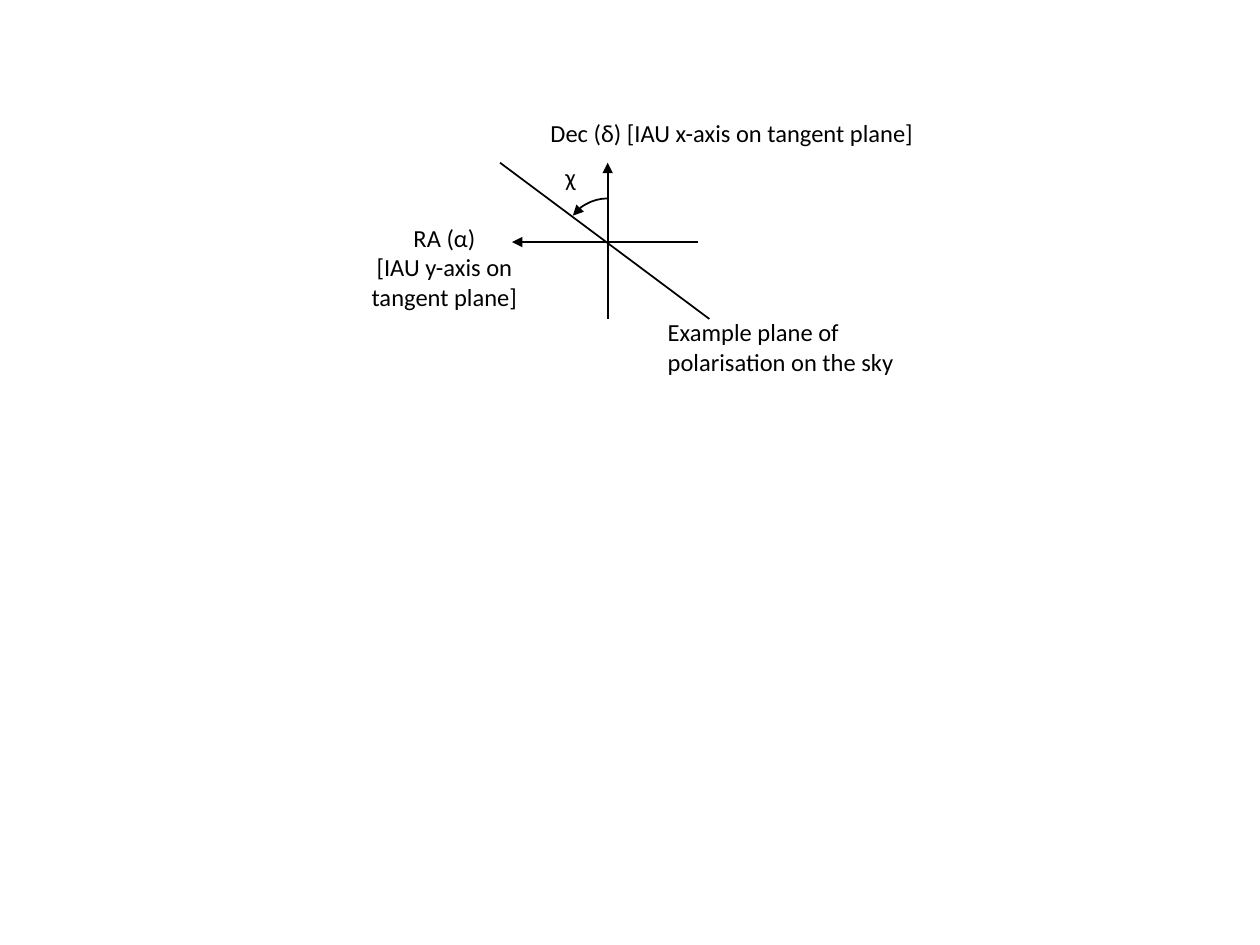
from copy import deepcopy
from dataclasses import dataclass
from lxml.etree import SubElement as Sub
from pptx import Presentation
from pptx.dml.color import RGBColor as Rgb
from pptx.enum.shapes import MSO_CONNECTOR as Link, MSO_SHAPE as Kind
from pptx.enum.text import MSO_AUTO_SIZE as Fit, PP_ALIGN as Align
from pptx.oxml.ns import qn
from pptx.util import Cm, Pt


@dataclass
class Theme:
    ink: Rgb = Rgb(0, 0, 0)
    font: str = "Calibri"
    size: int = 14
    line: int = 1


theme = Theme()

# Content, in centimetres
mid_x, mid_y = 12.25, 4.88
top, base = 3.28, 6.43
lines = [  # start, end, arrow
    ((mid_x, base), (mid_x, top), True),
    ((14.07, mid_y), (10.32, mid_y), True),
    ((14.3, base), (10.08, top), False),
]
radius = 0.88
arc_from = 307.3  # degrees, before the quarter turn
labels = [  # text, box, format
    ("Example plane of polarisation on the sky", (13.21, 6.27, 5.77, 1.45), {}),
    ("χ", (11.15, 3.15, 0.74, 0.86), {"wrap": False}),
    ("Dec (δ) [IAU x-axis on tangent plane]", (9.04, 2.26, 11.43, 0.86),
     {"align": Align.CENTER}),
    ("RA (α)\v[IAU y-axis on tangent plane]", (6.6, 4.37, 4.72, 2.06),
     {"align": Align.CENTER}),
]

deck = Presentation()
deck.slide_width, deck.slide_height = Cm(25.4), Cm(19.05)
slide = deck.slides.add_slide(deck.slide_layouts[6])
shapes = slide.shapes


def stroke(shape, end=None):
    """Set the line format, with an arrow at headEnd or tailEnd."""
    shape.line.color.rgb = theme.ink
    shape.line.width = Pt(theme.line)
    if end:
        Sub(shape.line._get_or_add_ln(), qn("a:" + end), type="triangle")


def write(text, box, align=Align.LEFT, wrap=True):
    frame = shapes.add_textbox(*map(Cm, box)).text_frame
    frame.word_wrap = wrap
    frame.auto_size = Fit.SHAPE_TO_FIT_TEXT
    para = frame.paragraphs[0]
    para.text, para.alignment = text, align
    for run in para.runs:
        run.font.name, run.font.size = theme.font, Pt(theme.size)
        run.font.color.rgb = theme.ink
    # A line break takes the format of the text around it
    for brk in para._p.findall(qn("a:br")):
        brk.append(deepcopy(para.runs[0]._r.rPr))


# Axes and plane of polarisation
for start, end, arrow in lines:
    link = shapes.add_connector(Link.STRAIGHT, *map(Cm, start + end))
    stroke(link, "tailEnd" if arrow else None)
    Sub(link._element.spPr, qn("a:effectLst"))

# Angle
arc = shapes.add_shape(Kind.ARC, Cm(mid_x - radius), Cm(mid_y - radius),
                       Cm(2 * radius), Cm(2 * radius))
arc.rotation = 270
arc.adjustments[0] = arc_from * 0.6
arc.adjustments[1] = 0
arc.fill.background()
stroke(arc, "headEnd")
arc.shadow.inherit = False

# Labels
for text, box, form in labels:
    write(text, box, **form)

deck.save("out.pptx")
